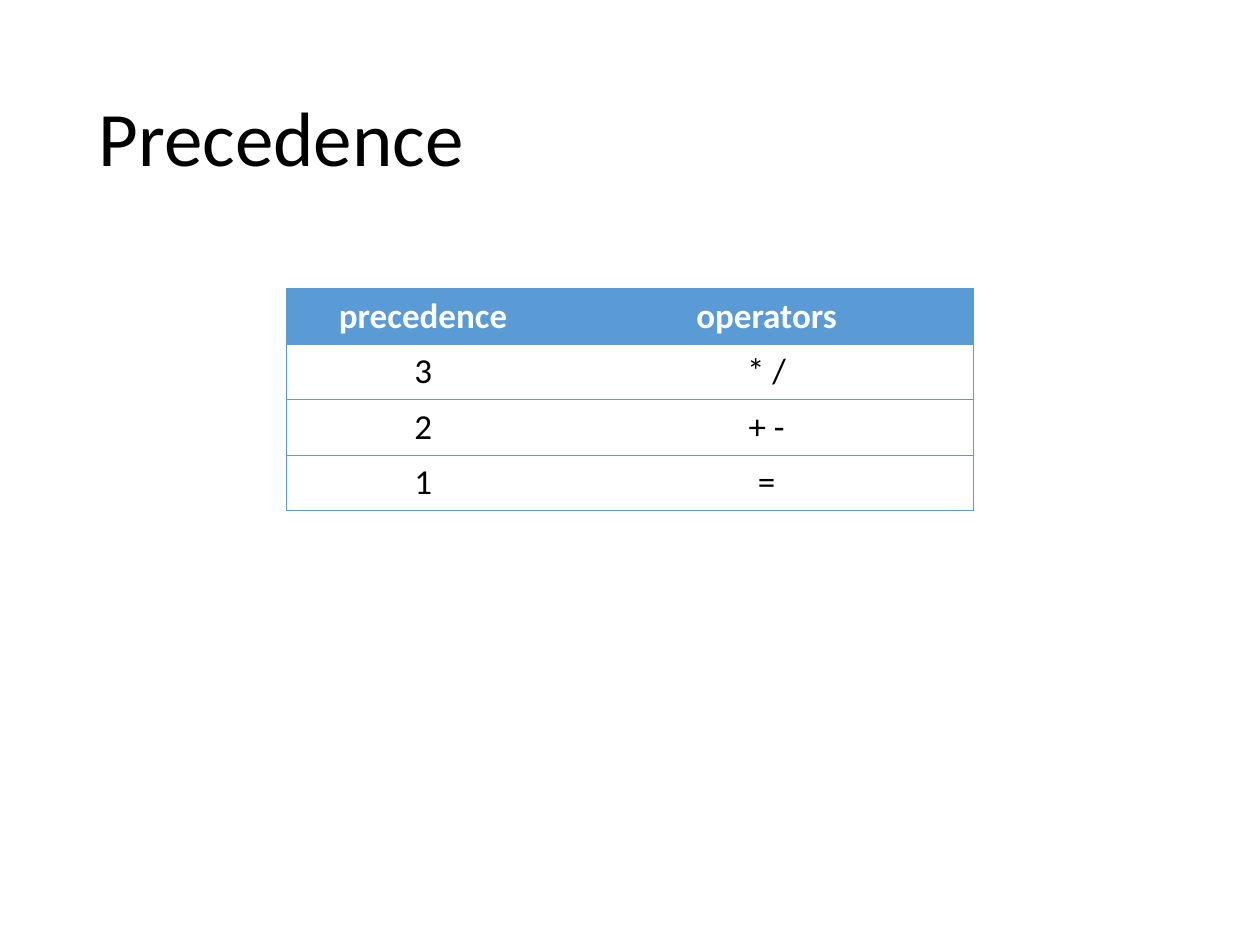
import pptx
import pptx.util
import pptx.dml.color
import pptx.enum.text
import pptx.oxml.ns
import lxml.etree

Pt = pptx.util.Pt
RGB = pptx.dml.color.RGBColor
Align = pptx.enum.text.PP_ALIGN
Anchor = pptx.enum.text.MSO_ANCHOR
qn = pptx.oxml.ns.qn

hues = {"black": "000000", "white": "FFFFFF", "blue": "5B9BD5"}
plain = "{2D5ABB26-0587-4C30-8999-92F81FD0307C}"


def write(frame, text, size=20, hue="black", bold=False, align=Align.CENTER, space=1.0):
    par = frame.paragraphs[0]
    par.alignment = align
    par.line_spacing = space
    run = par.add_run()
    run.text = text
    run.font.name = "Calibri"
    run.font.size = Pt(size)
    run.font.bold = bold
    run.font.color.rgb = RGB.from_string(hues[hue])


def edge(cell, side):
    line = lxml.etree.SubElement(cell._tc.get_or_add_tcPr(), qn("a:ln" + side), w=str(Pt(0.5)))
    fill = lxml.etree.SubElement(line, qn("a:solidFill"))
    lxml.etree.SubElement(fill, qn("a:srgbClr"), val=hues["blue"])


deck = pptx.Presentation()
deck.slide_width, deck.slide_height = Pt(720), Pt(540)
slide = deck.slides.add_slide(deck.slide_layouts[6])

title = slide.shapes.add_textbox(Pt(49.5), Pt(28.75), Pt(621), Pt(104.4)).text_frame
title.word_wrap = True
title.vertical_anchor = Anchor.MIDDLE
write(title, "Precedence", size=44, align=Align.LEFT, space=0.9)

rows = [("precedence", "operators"), ("3", "* /"), ("2", "+ -"), ("1", "=")]
wide = [156.4, 236.2]
high = 31.7
grid = slide.shapes.add_table(
    len(rows), len(wide), Pt(163.6), Pt(164.9), Pt(sum(wide)), Pt(high * len(rows))
).table
grid._tbl.tblPr.find(qn("a:tableStyleId")).text = plain
for col, width in zip(grid.columns, wide):
    col.width = Pt(width)

for r, row in enumerate(rows):
    grid.rows[r].height = Pt(high)
    head = r == 0
    for c, text in enumerate(row):
        cell = grid.cell(r, c)
        for side in ("LTB", "RTB")[c]:
            edge(cell, side)
        if head:
            cell.fill.solid()
            cell.fill.fore_color.rgb = RGB.from_string(hues["blue"])
        else:
            cell.fill.background()
        write(cell.text_frame, text, hue="white" if head else "black", bold=head)

deck.save("out.pptx")
